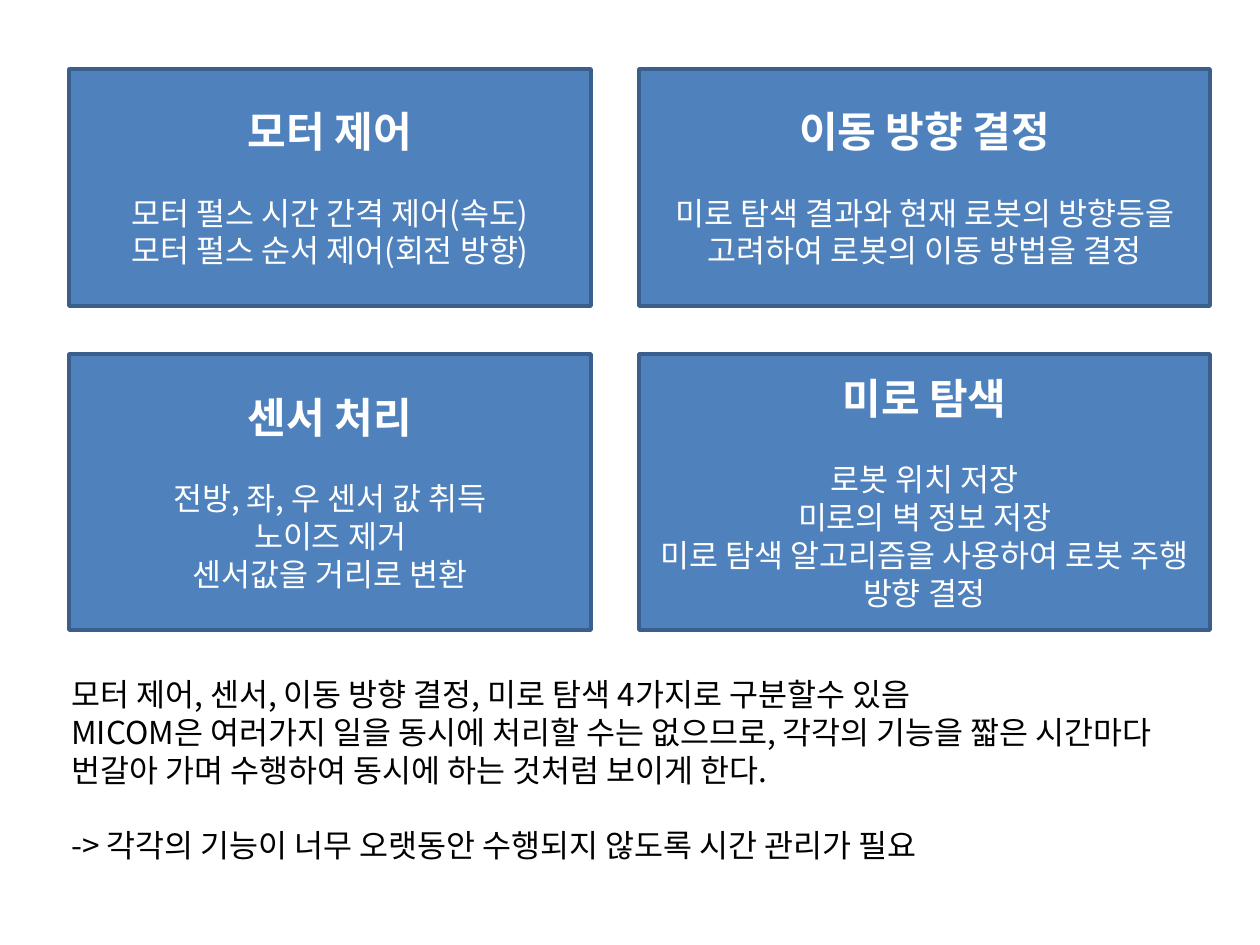
import pptx
import pptx.util
import pptx.dml.color
import pptx.enum.shapes
import pptx.enum.text
import pptx.oxml.ns
import lxml.etree
from dataclasses import dataclass

# Rows of (title, body lines)
BOXES = [
    [
        ("모터 제어", ["모터 펄스 시간 간격 제어(속도)", "모터 펄스 순서 제어(회전 방향)"]),
        ("이동 방향 결정", ["미로 탐색 결과와 현재 로봇의 방향등을 고려하여 로봇의 이동 방법을 결정"]),
    ],
    [
        ("센서 처리", ["전방, 좌, 우 센서 값 취득", "노이즈 제거", "센서값을 거리로 변환"]),
        ("미로 탐색", ["로봇 위치 저장", "미로의 벽 정보 저장",
                   "미로 탐색 알고리즘을 사용하여 로봇 주행 방향 결정"]),
    ],
]
SUMMARY = [
    "모터 제어, 센서, 이동 방향 결정, 미로 탐색 4가지로 구분할수 있음",
    "MICOM은 여러가지 일을 동시에 처리할 수는 없으므로, 각각의 기능을 짧은 시간마다 "
    "번갈아 가며 수행하여 동시에 하는 것처럼 보이게 한다.",
    "-> 각각의 기능이 너무 오랫동안 수행되지 않도록 시간 관리가 필요",
]

# Layout in px
SLIDE = (1260, 945)
MARGIN, GAP = 69, 48
COL_WIDTHS = (522, 571)
ROW_HEIGHTS = (237, 276)
SUMMARY_BOX = (59, 669, 1162, 242)


@dataclass(frozen=True)
class Theme:
    font: str = "Noto Sans CJK KR"
    fill: str = "4F81BD"
    line: str = "3A5F8C"
    light: str = "FFFFFF"
    dark: str = "000000"
    title: int = 24
    body: int = 18
    gap: float = 21.5
    border: int = 2


THEME = Theme()


def px(n):
    return pptx.util.Emu(round(n * 914400 / 126))


def rgb(code):
    return pptx.dml.color.RGBColor.from_string(code)


def starts(sizes):
    """Left or top edges of consecutive sizes with equal gaps."""
    return [MARGIN + sum(sizes[:i]) + GAP * i for i in range(len(sizes))]


def write(tf, lines, color, align, gap_after, titled=False):
    """One paragraph per line, with a gap after the line at index gap_after."""
    tf.word_wrap = True
    tf.text = "\n".join(lines)
    for i, p in enumerate(tf.paragraphs):
        is_title = titled and i == 0
        p.alignment = align
        if i == gap_after:
            p.space_after = pptx.util.Pt(THEME.gap)
        for r in p.runs:
            r.font.name = THEME.font
            r.font.size = pptx.util.Pt(THEME.title if is_title else THEME.body)
            r.font.bold = is_title
            r.font.color.rgb = rgb(color)
            ea = lxml.etree.SubElement(r.font._element, pptx.oxml.ns.qn("a:ea"))
            ea.set("typeface", THEME.font)


def add_box(s, box, title, body):
    sp = s.shapes.add_shape(
        pptx.enum.shapes.MSO_SHAPE.FLOWCHART_PROCESS, *map(px, box))
    sp.shadow.inherit = False
    sp.fill.solid()
    sp.fill.fore_color.rgb = rgb(THEME.fill)
    sp.line.color.rgb = rgb(THEME.line)
    sp.line.width = pptx.util.Pt(THEME.border)
    tf = sp.text_frame
    tf.vertical_anchor = pptx.enum.text.MSO_ANCHOR.MIDDLE
    write(tf, [title, *body], THEME.light, pptx.enum.text.PP_ALIGN.CENTER, 0, titled=True)


def main():
    prs = pptx.Presentation()
    prs.slide_width, prs.slide_height = map(px, SLIDE)
    s = prs.slides.add_slide(prs.slide_layouts[6])

    for row, top, height in zip(BOXES, starts(ROW_HEIGHTS), ROW_HEIGHTS):
        for (title, body), left, width in zip(row, starts(COL_WIDTHS), COL_WIDTHS):
            add_box(s, (left, top, width, height), title, body)

    tf = s.shapes.add_textbox(*map(px, SUMMARY_BOX)).text_frame
    write(tf, SUMMARY, THEME.dark, pptx.enum.text.PP_ALIGN.LEFT, len(SUMMARY) - 2)
    tf.auto_size = pptx.enum.text.MSO_AUTO_SIZE.SHAPE_TO_FIT_TEXT
    prs.save("out.pptx")


if __name__ == "__main__":
    main()
